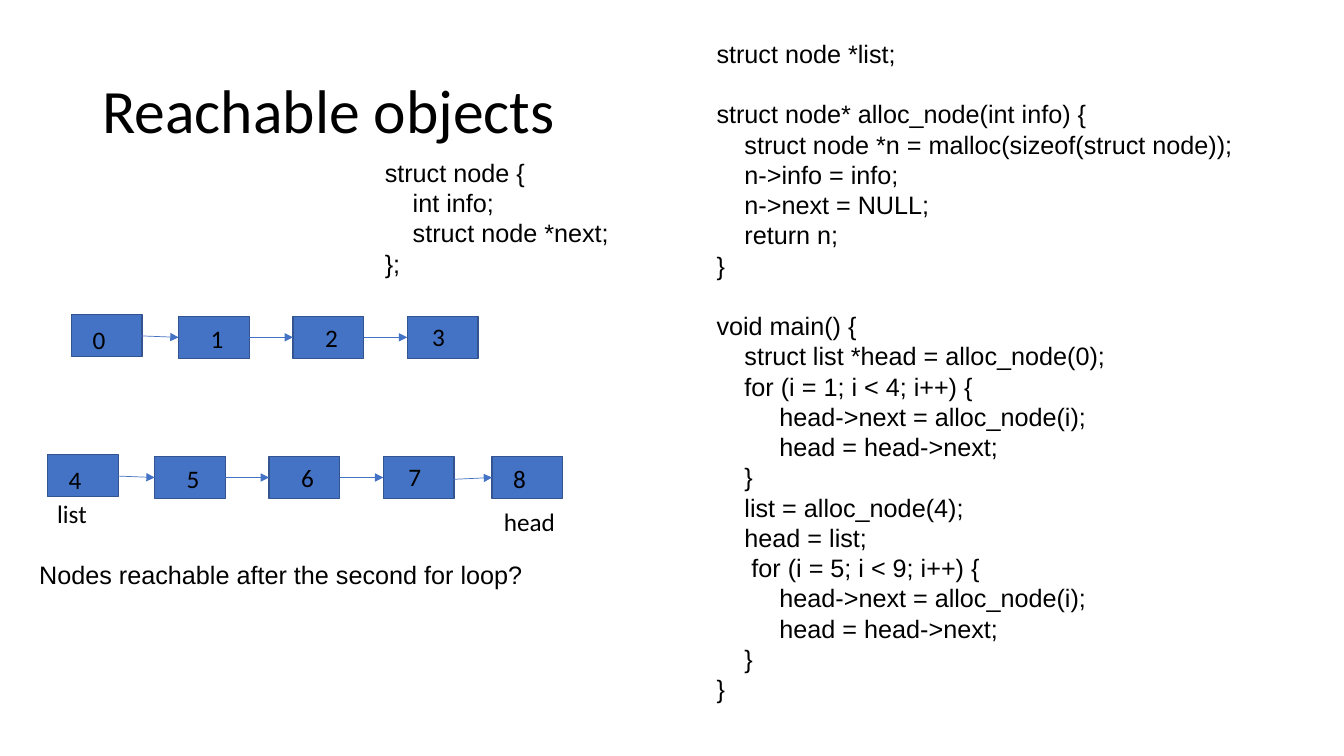
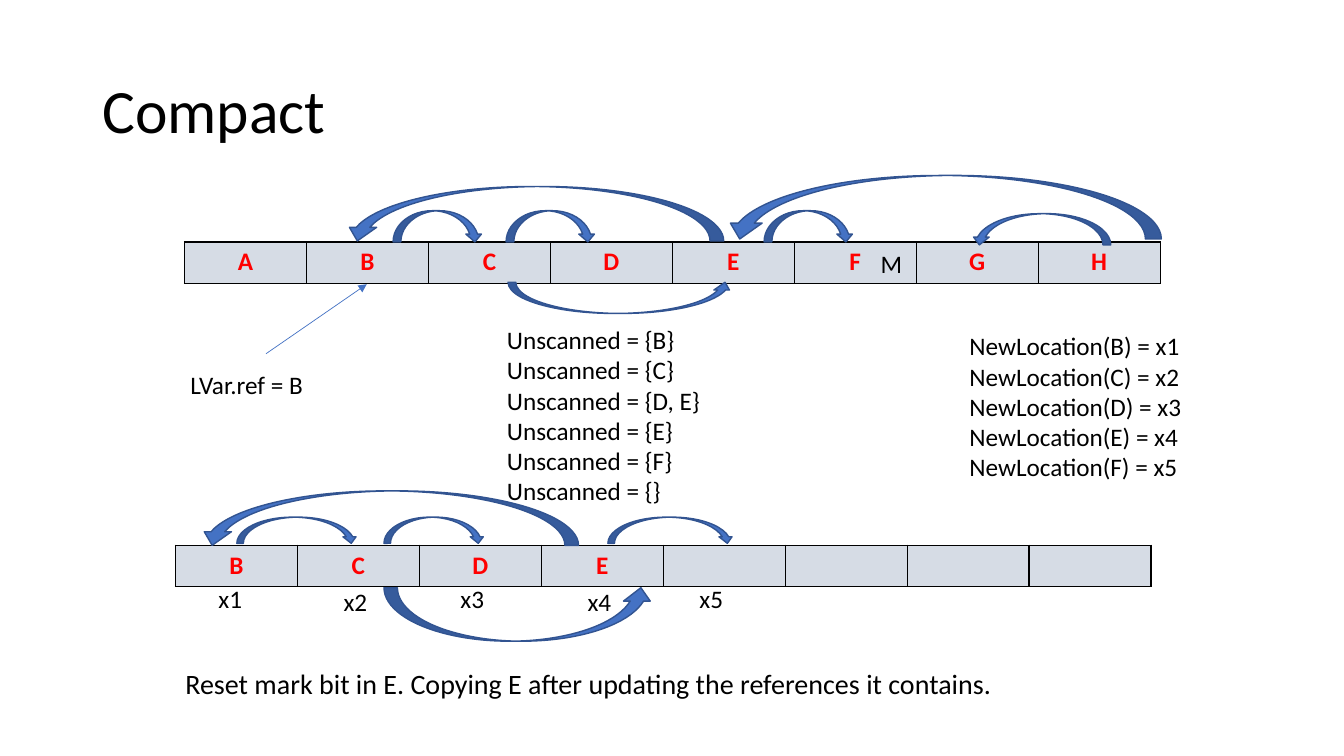
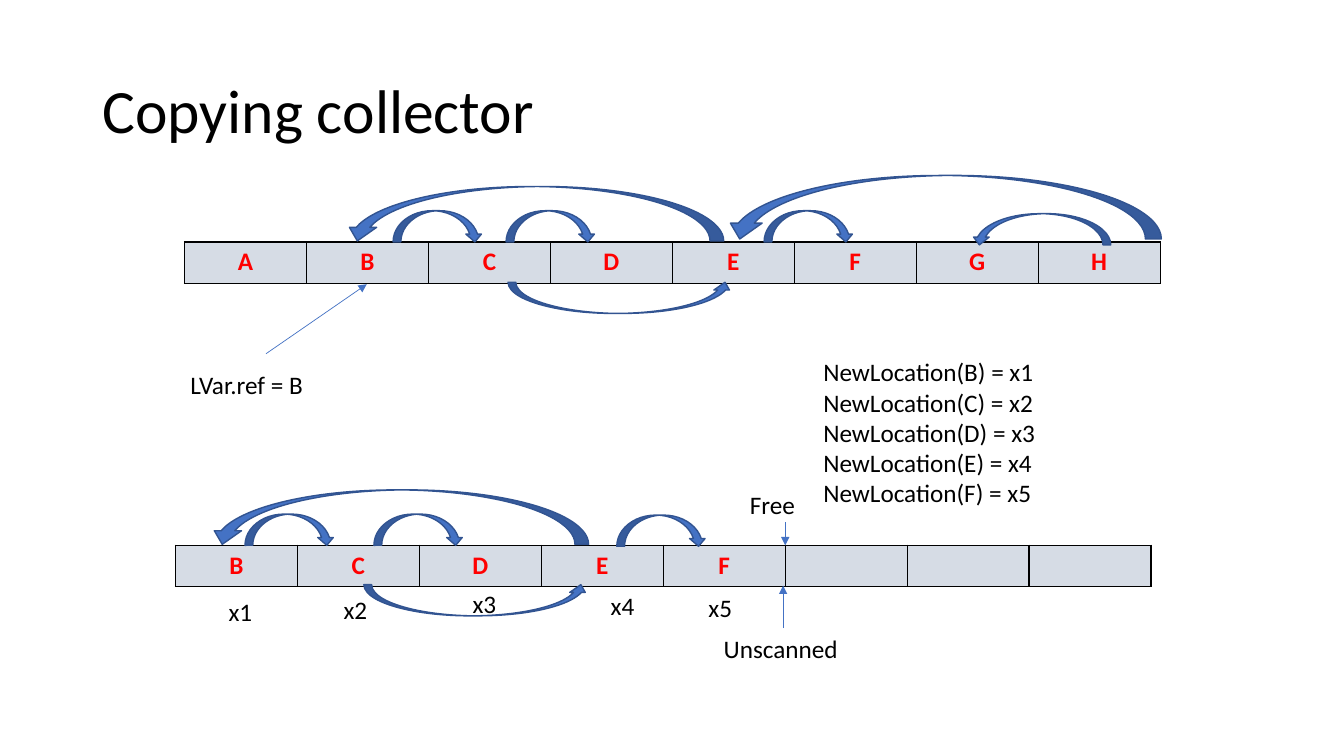
"""Build three slides on reachability, compaction and copying collection."""
from typing import NamedTuple, Optional

from lxml.etree import SubElement
from pptx import Presentation
from pptx.dml.color import RGBColor as RGB
from pptx.enum.shapes import MSO_CONNECTOR as CONN, MSO_SHAPE as SHAPE
from pptx.enum.text import MSO_ANCHOR as ANCHOR, MSO_AUTO_SIZE as FIT, PP_ALIGN as ALIGN
from pptx.oxml.ns import qn
from pptx.shapes.autoshape import Shape
from pptx.shapes.connector import Connector
from pptx.slide import Slide
from pptx.util import Pt

COLORS = {
    "text": "000000",
    "mark": "FF0000",
    "accent": "4472C4",
    "outline": "325491",
    "cell": "D6DCE5",
}
SANS, CODE = "Calibri", "Arial"
NODE_W, NODE_H = 50.5, 30
CELL_W, CELL_H, CELLS = 87.12, 29.5, 8
CODE_GAP = 21.6


class Node(NamedTuple):
    """A list node, its label offset and an optional free start of its arrow."""
    dx: float
    dy: float
    label_dx: float
    label_dy: float
    start: Optional[tuple[float, float]] = None


class Arc(NamedTuple):
    """A curved arrow between heap cells."""
    kind: str
    x: float
    y: float
    w: float = 64
    h: float = 22.3


class Label(NamedTuple):
    """A text box."""
    text: str
    x: float
    y: float
    w: float
    h: float = 29
    size: float = 18
    font: str = SANS


NODES = (
    Node(0, 0, 8, 3.6),
    Node(76.5, 1.4, 15.8, 1.4, (41, 15)),
    Node(158.2, 1.4, 15.8, 0.7),
    Node(239.8, 1.4, 10.8, 0),
    Node(317.5, 1.4, 8, 1.4, (45.5, 16.5)),
)
ARC_KINDS = {
    "down": (SHAPE.CURVED_DOWN_ARROW, 0),
    "up": (SHAPE.CURVED_UP_ARROW, 0),
    "back": (SHAPE.CURVED_UP_ARROW, 180),
}
FROM_ARCS = (
    Arc("down", 280.8, 150.5),
    Arc("down", 361.5, 150.5),
    Arc("down", 545.8, 150.5),
    Arc("back", 245.5, 133.2, 271.4, 38.9),
    Arc("up", 362.9, 201.6, 160.6),
    Arc("back", 694, 152.6, 99.4),
    Arc("back", 517, 125.3, 312.5, 45.4),
)
COMPACT_ARCS = (
    Arc("down", 169.2, 369.4, 86.4, 18.7),
    Arc("down", 274.3, 369.4, 72, 18.7),
    Arc("down", 434.2, 369.4, 90, 18.7),
    Arc("up", 274.3, 419.8, 193, 38.2),
    Arc("back", 141.8, 350.6, 271.4, 38.9),
)
COPY_ARCS = (
    Arc("down", 175, 367.2),
    Arc("down", 267.1, 367.2),
    Arc("down", 440.6, 367.9),
    Arc("up", 259.9, 417.6, 160.6),
    Arc("back", 149, 349.9, 271.4, 38.9),
)
COMPACT_SLOTS = ((149, 413.3), (238.3, 415.4), (321.8, 413.3), (412.6, 415.4), (492.5, 413.3))
COPY_SLOTS = ((156.2, 422.6), (238.3, 421.2), (330.5, 416.9), (429.1, 418.3), (499, 419.8))
LOCATIONS = "\n".join(f"NewLocation({c}) = x{i}" for i, c in enumerate("BCDEF", 1))
UNSCANNED = "\n".join(f"Unscanned = {{{c}}}" for c in ("B", "C", "D, E", "E", "F", ""))

STRUCT_CODE = """struct node {
    int info;
    struct node *next;
};"""
LIST_CODE = """struct node *list;

struct node* alloc_node(int info) {
    struct node *n = malloc(sizeof(struct node));
    n->info = info;
    n->next = NULL;
    return n;
}

void main() {
    struct list *head = alloc_node(0);
    for (i = 1; i < 4; i++) {
         head->next = alloc_node(i);
         head = head->next;
    }
    list = alloc_node(4);
    head = list;
     for (i = 5; i < 9; i++) {
         head->next = alloc_node(i);
         head = head->next;
    }
}"""


def color(name: str) -> RGB:
    return RGB.from_string(COLORS[name])


def set_font(p, size: float, name: str = SANS, ink: str = "text", bold: bool = False) -> None:
    for r in p.runs:
        r.font.size, r.font.name, r.font.bold = Pt(size), name, bold
        r.font.color.rgb = color(ink)


def new_slide(prs, title: str) -> Slide:
    s = prs.slides.add_slide(prs.slide_layouts[5])
    sp = s.shapes.title
    sp.left, sp.top, sp.width, sp.height = Pt(66), Pt(28.8), Pt(828), Pt(104.4)
    tf = sp.text_frame
    tf.text = title
    tf.vertical_anchor, tf.auto_size = ANCHOR.MIDDLE, FIT.NONE
    p = tf.paragraphs[0]
    p.alignment, p.line_spacing = ALIGN.LEFT, 0.9
    set_font(p, 44)
    return s


def add_label(s: Slide, label: Label) -> None:
    sp = s.shapes.add_textbox(Pt(label.x), Pt(label.y), Pt(label.w), Pt(label.h))
    tf = sp.text_frame
    tf.word_wrap, tf.auto_size = True, FIT.SHAPE_TO_FIT_TEXT
    blocks = [block.split("\n") for block in label.text.split("\n\n")]
    tf.text = "\n".join(line for block in blocks for line in block)
    for p in tf.paragraphs:
        set_font(p, label.size, label.font)
    start = 0
    for block in blocks[:-1]:
        start += len(block)
        tf.paragraphs[start].space_before = Pt(CODE_GAP)


def add_solid(s: Slide, kind: SHAPE, x: float, y: float, w: float, h: float) -> Shape:
    sp = s.shapes.add_shape(kind, Pt(x), Pt(y), Pt(w), Pt(h))
    sp.shadow.inherit = False
    sp.fill.solid()
    sp.fill.fore_color.rgb = color("accent")
    sp.line.color.rgb = color("outline")
    sp.line.width = Pt(1)
    return sp


def add_arrow(s: Slide, x1: float, y1: float, x2: float, y2: float) -> Connector:
    cn = s.shapes.add_connector(CONN.STRAIGHT, Pt(x1), Pt(y1), Pt(x2), Pt(y2))
    cn.line.color.rgb = color("accent")
    cn.line.width = Pt(0.5)
    sp_pr = cn._element.spPr
    SubElement(sp_pr.find(qn("a:ln")), qn("a:tailEnd"), type="triangle")
    SubElement(sp_pr, qn("a:effectLst"))
    return cn


def add_chain(s: Slide, left: float, top: float, first: int, count: int) -> None:
    prev, prev_x, prev_y = None, 0.0, 0.0
    for i, node in enumerate(NODES[:count]):
        x, y = left + node.dx, top + node.dy
        sp = add_solid(s, SHAPE.RECTANGLE, x, y, NODE_W, NODE_H)
        if prev is not None:
            dx, dy = node.start or (NODE_W, NODE_H / 2)
            cn = add_arrow(s, prev_x + dx, prev_y + dy, x, y + NODE_H / 2)
            if node.start is None:
                cn.begin_connect(prev, 3)
            cn.end_connect(sp, 1)
        add_label(s, Label(str(first + i), x + node.label_dx, y + node.label_dy, 56))
        prev, prev_x, prev_y = sp, x, y


def add_heap(s: Slide, x: float, y: float, names: str) -> None:
    tbl = s.shapes.add_table(1, CELLS, Pt(x), Pt(y), Pt(CELL_W * CELLS), Pt(CELL_H)).table
    tbl.first_row = tbl.horz_banding = False
    tbl.rows[0].height = Pt(CELL_H)
    for i, name in enumerate(names.ljust(CELLS)):
        tbl.columns[i].width = Pt(CELL_W)
        cell = tbl.cell(0, i)
        tc_pr = cell._tc.get_or_add_tcPr()
        for side in ("lnL", "lnR", "lnT", "lnB"):
            ln = SubElement(tc_pr, qn(f"a:{side}"), w=str(Pt(1)))
            SubElement(SubElement(ln, qn("a:solidFill")), qn("a:srgbClr"), val=COLORS["text"])
        cell.fill.solid()
        cell.fill.fore_color.rgb = color("cell")
        cell.text_frame.text = name.strip()
        p = cell.text_frame.paragraphs[0]
        p.alignment = ALIGN.CENTER
        set_font(p, 18, ink="mark", bold=True)


def add_arcs(s: Slide, arcs: tuple[Arc, ...]) -> None:
    for arc in arcs:
        kind, turn = ARC_KINDS[arc.kind]
        add_solid(s, kind, arc.x, arc.y, arc.w, arc.h).rotation = turn


def heap_slide(prs, title: str, moved: str, slots: tuple, arcs: tuple[Arc, ...],
               labels: tuple[Label, ...]) -> Slide:
    s = new_slide(prs, title)
    add_heap(s, 131.8, 172.8, "ABCDEFGH")
    add_heap(s, 125.3, 389.5, moved)
    add_arrow(s, 190, 252.7, 262, 203)
    add_label(s, Label("LVar.ref = B", 128.9, 259.9, 136))
    for i, (x, y) in enumerate(slots, 1):
        add_label(s, Label(f"x{i}", x, y, 42))
    for label in labels:
        add_label(s, label)
    add_arcs(s, FROM_ARCS + arcs)
    return s


def main() -> None:
    prs = Presentation()
    prs.slide_width, prs.slide_height = Pt(960), Pt(540)

    s = new_slide(prs, "Reachable objects")
    add_chain(s, 51.1, 224.6, 0, 4)
    add_chain(s, 34, 324.7, 4, 5)
    for label in (
        Label(LIST_CODE, 504.7, 23.8, 399.6, 487.4, font=CODE),
        Label(STRUCT_CODE, 267.8, 108.7, 175, 116.6, font=CODE),
        Label("Nodes reachable after the second for loop?", 20.9, 396, 459.4, font=CODE),
        Label("list", 33.8, 352.1, 98.6),
        Label("head", 352.8, 357.8, 98.6),
    ):
        add_label(s, label)

    heap_slide(prs, "Compact", "BCDE", COMPACT_SLOTS, COMPACT_ARCS, (
        Label(UNSCANNED, 355, 228.2, 411, 159.8),
        Label(LOCATIONS, 685.4, 232.6, 216.7, 116.6),
        Label("M", 622, 173.5, 64.8),
        Label("Reset mark bit in E. Copying E after updating the references it contains.",
              125.3, 472.3, 724.3, 31.7, 20),
    ))

    s = heap_slide(prs, "Copying collector", "BCDEF", COPY_SLOTS, COPY_ARCS, (
        Label(LOCATIONS, 581, 251.3, 231, 116.6),
        Label("Unscanned", 509.8, 448.6, 116.6),
        Label("Free", 528.5, 345.6, 116.6),
    ))
    add_arrow(s, 559.4, 448.6, 559.4, 418.3)
    add_arrow(s, 560.9, 373, 560.9, 389.5)

    prs.save("out.pptx")


if __name__ == "__main__":
    main()
